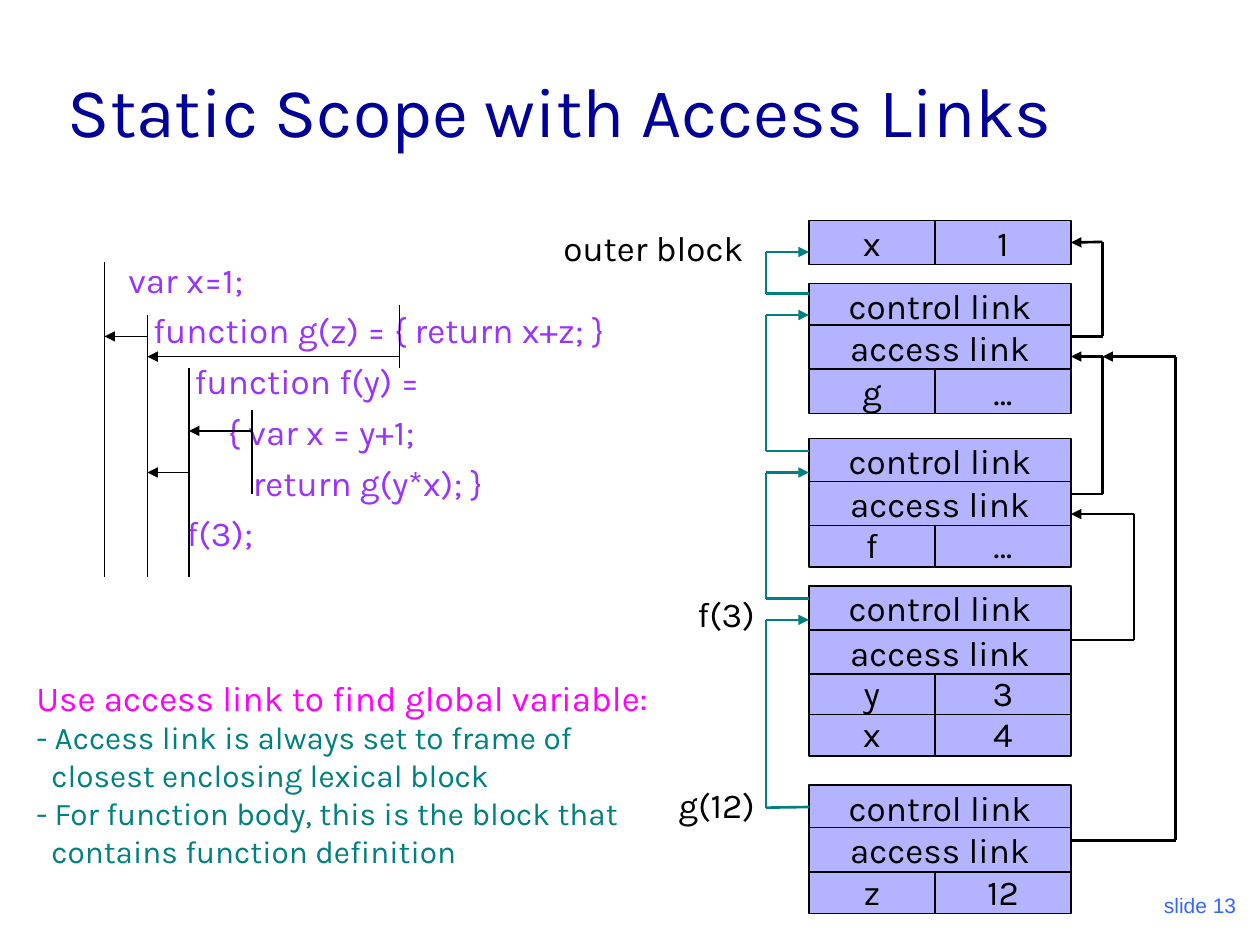
from dataclasses import dataclass

from lxml import etree
from pptx import Presentation
from pptx.dml.color import RGBColor
from pptx.enum.shapes import MSO_CONNECTOR, MSO_SHAPE
from pptx.enum.text import MSO_ANCHOR, PP_ALIGN
from pptx.oxml.ns import qn
from pptx.util import Inches, Pt

STRAIGHT, RECTANGLE = MSO_CONNECTOR.STRAIGHT, MSO_SHAPE.RECTANGLE
LEFT, CENTER, RIGHT = PP_ALIGN.LEFT, PP_ALIGN.CENTER, PP_ALIGN.RIGHT
TOP, MIDDLE, BOTTOM = MSO_ANCHOR.TOP, MSO_ANCHOR.MIDDLE, MSO_ANCHOR.BOTTOM
LEFT_SIDE, RIGHT_SIDE = 1, 3


@dataclass(frozen=True)
class Theme:
    font: str = "Karla"
    number_font: str = "Arial"
    black: RGBColor = RGBColor(0x00, 0x00, 0x00)
    navy: RGBColor = RGBColor(0x00, 0x00, 0x99)
    purple: RGBColor = RGBColor(0x99, 0x33, 0xFF)
    magenta: RGBColor = RGBColor(0xFF, 0x00, 0xFF)
    teal: RGBColor = RGBColor(0x00, 0x80, 0x80)
    blue: RGBColor = RGBColor(0x33, 0x66, 0xFF)
    cell: RGBColor = RGBColor(0xB3, 0xB3, 0xFF)
    title_size: Pt = Pt(40)
    body_size: Pt = Pt(20)
    note_size: Pt = Pt(18)
    number_size: Pt = Pt(12)
    thin: Pt = Pt(0.75)
    thick: Pt = Pt(1.5)


theme = Theme()
deck = Presentation()
deck.slide_width, deck.slide_height = Inches(10), Inches(7.5)
page = deck.slides.add_slide(deck.slide_layouts[6])


def write(box, lines, color, size=theme.body_size, align=LEFT, anchor=TOP,
          wrap=True, font=theme.font):
    frame = box.text_frame
    frame.word_wrap, frame.vertical_anchor = wrap, anchor
    frame.text = "\n".join(lines)
    for para in frame.paragraphs:
        para.alignment = align
        para.font.name, para.font.size = font, size
        para.font.color.rgb = color
    return frame.paragraphs


def draw_line(start, end, color, width, arrow=False):
    line = page.shapes.add_connector(
        STRAIGHT, *(Inches(value) for value in (*start, *end)))
    line.line.color.rgb, line.line.width = color, width
    if arrow:
        etree.SubElement(line.line._get_or_add_ln(), qn("a:tailEnd"), type="triangle")
    etree.SubElement(line._element.spPr, qn("a:effectLst"))
    return line


# Slide number and title
box = page.shapes.add_textbox(Inches(7.83), Inches(6.83), Inches(2.08), Inches(0.5))
write(box, ["slide 13"], theme.blue, theme.number_size, RIGHT, BOTTOM,
      font=theme.number_font)
box = page.shapes.add_textbox(Inches(0.44), Inches(0.25), Inches(8.5), Inches(1))
write(box, ["Static Scope with Access Links"], theme.navy, theme.title_size,
      anchor=BOTTOM)

# Program code
code = [
    "var x=1;",
    "   function g(z) = { return x+z; }",
    "        function f(y) =",
    "            { var x = y+1;",
    "               return g(y*x); }",
    "       f(3);",
]
box = page.shapes.add_textbox(Inches(0.42), Inches(2), Inches(4.83), Inches(2.67))
for index, para in enumerate(write(box, code, theme.purple)):
    properties = para._p.get_or_add_pPr()
    properties.set("marL", str(Inches(0.81)))
    properties.set("indent", str(Inches(-0.31)))
    if index:
        para.space_before = Pt(5)

# Activation records: variable rows (name, value) and link rows
frame_left, frame_right, split = 6.42, 8.5, 7.42
variable_rows = [(1.75, "x", "1"), (5.65, "x", "4"), (5.32, "y", "3"),
                 (6.9, "z", "12"), (2.93, "g", "…"), (4.15, "f", "…")]
link_rows = [(2.25, 2.58), (3.48, 3.82), (4.65, 5), (6.23, 6.57)]
cells = []
for top, name, value in variable_rows:
    cells += [(frame_left, split, top, name), (split, frame_right, top, value)]
for control_top, access_top in link_rows:
    cells += [(frame_left, frame_right, control_top, "control link"),
              (frame_left, frame_right, access_top, "access link")]
cell_boxes = {}
for left, right, top, label in cells:
    box = page.shapes.add_shape(RECTANGLE, Inches(left), Inches(top),
                                Inches(right - left), Inches(0.35))
    box.shadow.inherit = False
    box.fill.solid()
    box.fill.fore_color.rgb = theme.cell
    box.line.color.rgb, box.line.width = theme.black, theme.thin
    write(box, [label], theme.black, align=CENTER, anchor=MIDDLE, wrap=False)
    cell_boxes[left, top] = box

# Record labels
for left, top, label in [(4.33, 1.75, "outer block"), (4.42, 4.65, "f(3)"),
                         (4.42, 6.17, "g(12)")]:
    box = page.shapes.add_textbox(Inches(left), Inches(top), Inches(1.67), Inches(0.44))
    write(box, [label], theme.black, align=RIGHT)

# Links: start edge, start height, lane, end edge, end height, colour
access_links = [(frame_right, start, lane, end_edge, end, theme.black)
                for start, lane, end_edge, end in [
                    (2.67, 8.75, frame_right, 1.92), (5.08, 9, frame_right, 4.08),
                    (6.67, 9.33, 8.75, 2.83), (3.92, 8.75, frame_right, 2.83)]]
control_links = [(frame_left, start, 6.08, frame_left, end, theme.teal)
                 for start, end in [(2.33, 2), (3.58, 2.5), (4.75, 3.75), (6.41, 4.92)]]
stems, arrows = [], []
for start_edge, start, lane, end_edge, end, color in access_links + control_links:
    stems.append(draw_line((start_edge, start), (lane, start), color, theme.thick))
    draw_line((lane, start), (lane, end), color, theme.thick)
    arrows.append(draw_line((lane, end), (end_edge, end), color, theme.thick, True))
arrows[0].end_connect(cell_boxes[split, 1.75], RIGHT_SIDE)
stems[-1].begin_connect(cell_boxes[frame_left, 6.23], LEFT_SIDE)

# Scope bars beside the code, and arrows to the enclosing scope
for x, top, bottom in [(0.83, 2.08, 4.58), (1.17, 2.5, 4.58), (1.5, 2.92, 4.58),
                       (2, 3.25, 3.92), (3.17, 2.42, 2.92)]:
    draw_line((x, top), (x, bottom), theme.black, theme.thin)
for inner, outer, y in [(1.17, 0.83, 2.67), (2, 1.5, 3.42), (1.5, 1.17, 3.75),
                        (3.17, 1.17, 2.83)]:
    draw_line((inner, y), (outer, y), theme.black, theme.thin, True)

# Explanation
notes = [
    "Use access link to find global variable:",
    "- Access link is always set to frame of",
    "closest enclosing lexical block",
    "- For function body, this is the block that",
    "contains function definition",
]
box = page.shapes.add_textbox(Inches(0.19), Inches(5.32), Inches(5.14), Inches(1.64))
heading, *details = write(box, notes, theme.teal, theme.note_size, wrap=False)
heading.font.size, heading.font.color.rgb = theme.body_size, theme.magenta
for para in details[1::2]:
    para._p.get_or_add_pPr().set("marL", str(Inches(0.12)))

deck.save("out.pptx")
